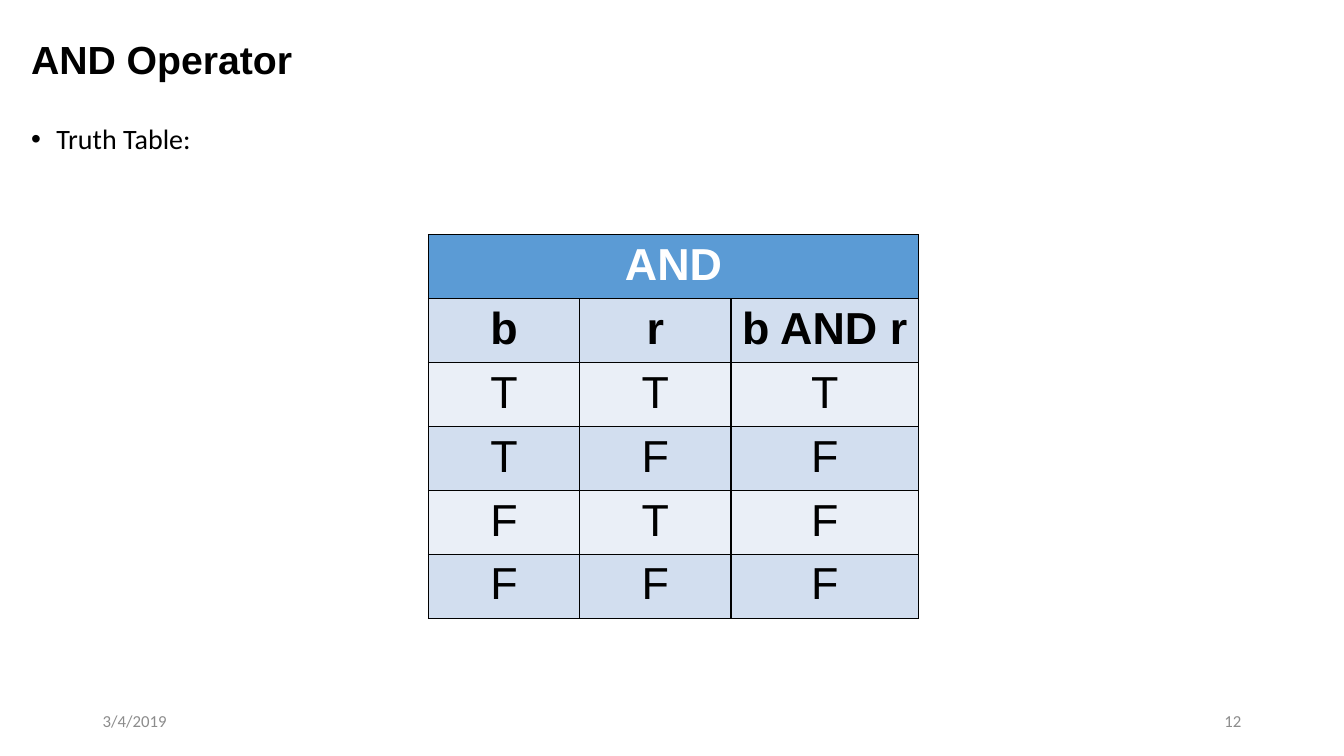
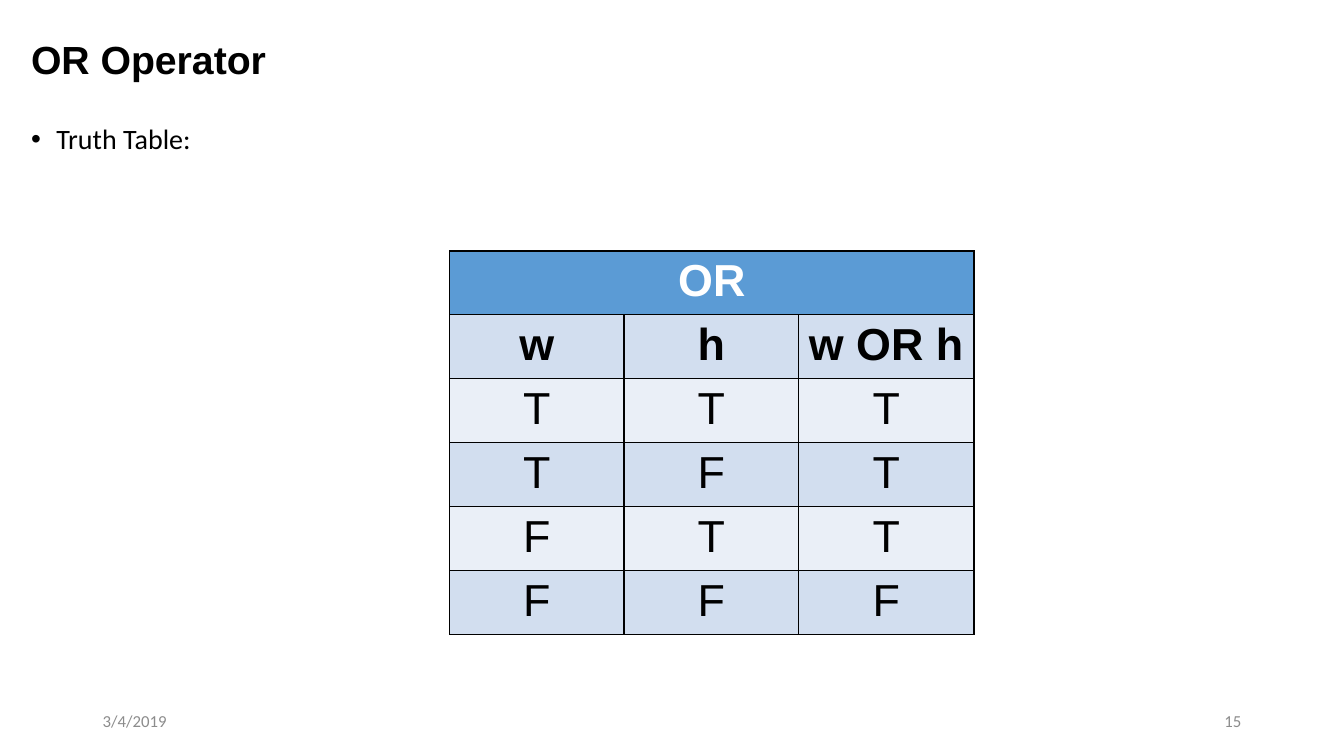
import dataclasses
import itertools
import typing

import lxml.etree
import pptx
import pptx.dml.color
import pptx.enum.text
import pptx.oxml.ns
import pptx.util

EMU_PER_PX = 9144  # 100 px to the inch
SLIDE_SIZE = (1333, 750)

BLACK = "000000"
WHITE = "FFFFFF"
FOOTER_GREY = "8C8C8C"
HEADER_BLUE = "5B9BD5"
BANDS = ("D2DEEF", "EAEFF7")

ALIGN = pptx.enum.text.PP_ALIGN
ANCHOR = pptx.enum.text.MSO_ANCHOR


@dataclasses.dataclass(frozen=True)
class Box:
    left: int
    top: int
    width: int
    height: int


@dataclasses.dataclass(frozen=True)
class Style:
    font: str
    size: int
    color: str = BLACK
    bold: bool = False


@dataclasses.dataclass(frozen=True)
class OperatorSlide:
    operator: str
    operands: tuple[str, str]
    evaluate: typing.Callable[[bool, bool], bool]
    page: int
    left: int
    top: int
    columns: tuple[int, int, int]


TITLE_BOX = Box(21, 0, 1150, 123)
BODY_BOX = Box(21, 116, 1268, 567)
DATE_BOX = Box(92, 695, 300, 40)
PAGE_BOX = Box(941, 695, 300, 40)
TABLE_HEIGHT = 380
BULLET_INDENT = 25

TITLE = Style("Arial", 28, bold=True)
BODY = Style("Calibri", 20)
FOOTER = Style("Calibri", 12, FOOTER_GREY)
TABLE_TITLE = Style("Arial", 32, WHITE, True)
TABLE_HEADING = Style("Arial", 32, bold=True)
TABLE_VALUE = Style("Arial", 32)

OPERATOR_SLIDES = (
    OperatorSlide("AND", ("b", "r"), lambda a, b: a and b, 12, 425, 233, (150, 150, 186)),
    OperatorSlide("OR", ("w", "h"), lambda a, b: a or b, 15, 446, 249, (173, 173, 174)),
)


def px(length: int) -> pptx.util.Emu:
    return pptx.util.Emu(length * EMU_PER_PX)


def rgb(color: str) -> pptx.dml.color.RGBColor:
    return pptx.dml.color.RGBColor.from_string(color)


def add_element(parent, tag: str, **attributes: str):
    return lxml.etree.SubElement(parent, pptx.oxml.ns.qn(tag), **attributes)


def write(paragraph, text: str, style: Style, align=ALIGN.LEFT) -> None:
    paragraph.alignment = align
    run = paragraph.add_run()
    run.text = text
    run.font.name = style.font
    run.font.size = pptx.util.Pt(style.size)
    run.font.bold = style.bold
    run.font.color.rgb = rgb(style.color)


def add_text(slide, box: Box, text: str, style: Style, align=ALIGN.LEFT, anchor=ANCHOR.MIDDLE):
    """Add a one-paragraph text box and return its paragraph."""
    shape = slide.shapes.add_textbox(px(box.left), px(box.top), px(box.width), px(box.height))
    frame = shape.text_frame
    frame.word_wrap = True
    frame.vertical_anchor = anchor
    paragraph = frame.paragraphs[0]
    write(paragraph, text, style, align)
    return paragraph


def set_bullet(paragraph) -> None:
    paragraph.space_before = paragraph.space_after = pptx.util.Pt(6)
    properties = paragraph._p.get_or_add_pPr()
    properties.set("marL", str(px(BULLET_INDENT)))
    properties.set("indent", str(px(-BULLET_INDENT)))
    add_element(properties, "a:buFont", typeface="Arial")
    add_element(properties, "a:buChar", char="•")


def format_cell(cell, fill: str) -> None:
    """Outline the cell in black and fill it."""
    cell.margin_left = cell.margin_right = px(10)
    cell.margin_top = cell.margin_bottom = px(5)
    properties = cell._tc.get_or_add_tcPr()
    for side in ("a:lnL", "a:lnR", "a:lnT", "a:lnB"):
        line = add_element(properties, side, w=str(pptx.util.Pt(1)))
        add_element(add_element(line, "a:solidFill"), "a:srgbClr", val=BLACK)
    cell.fill.solid()
    cell.fill.fore_color.rgb = rgb(fill)


def truth_rows(content: OperatorSlide) -> list[list[str]]:
    return [
        ["T" if value else "F" for value in (a, b, content.evaluate(a, b))]
        for a, b in itertools.product((True, False), repeat=2)
    ]


def add_truth_table(slide, content: OperatorSlide) -> None:
    first, second = content.operands
    headings = [first, second, f"{first} {content.operator} {second}"]
    rows = [[content.operator], headings, *truth_rows(content)]
    table = slide.shapes.add_table(
        len(rows), len(headings), px(content.left), px(content.top),
        px(sum(content.columns)), px(TABLE_HEIGHT),
    ).table
    table.first_row = table.horz_banding = False
    for column, width in zip(table.columns, content.columns):
        column.width = px(width)

    for row_index, texts in enumerate(rows):
        fill = HEADER_BLUE if row_index == 0 else BANDS[(row_index - 1) % 2]
        style = (TABLE_TITLE, TABLE_HEADING)[row_index] if row_index < 2 else TABLE_VALUE
        for cell in table.rows[row_index].cells:
            format_cell(cell, fill)
        for column_index, text in enumerate(texts):
            cell = table.cell(row_index, column_index)
            write(cell.text_frame.paragraphs[0], text, style, ALIGN.CENTER)
    table.cell(0, 0).merge(table.cell(0, len(headings) - 1))


def add_operator_slide(presentation, content: OperatorSlide) -> None:
    slide = presentation.slides.add_slide(presentation.slide_layouts[6])
    title = add_text(slide, TITLE_BOX, f"{content.operator} Operator", TITLE)
    title.line_spacing = 0.9
    set_bullet(add_text(slide, BODY_BOX, "Truth Table:", BODY, anchor=ANCHOR.TOP))
    add_text(slide, DATE_BOX, "3/4/2019", FOOTER)
    add_text(slide, PAGE_BOX, str(content.page), FOOTER, ALIGN.RIGHT)
    add_truth_table(slide, content)


def main() -> None:
    presentation = pptx.Presentation()
    presentation.slide_width, presentation.slide_height = map(px, SLIDE_SIZE)
    for content in OPERATOR_SLIDES:
        add_operator_slide(presentation, content)
    presentation.save("out.pptx")


if __name__ == "__main__":
    main()
